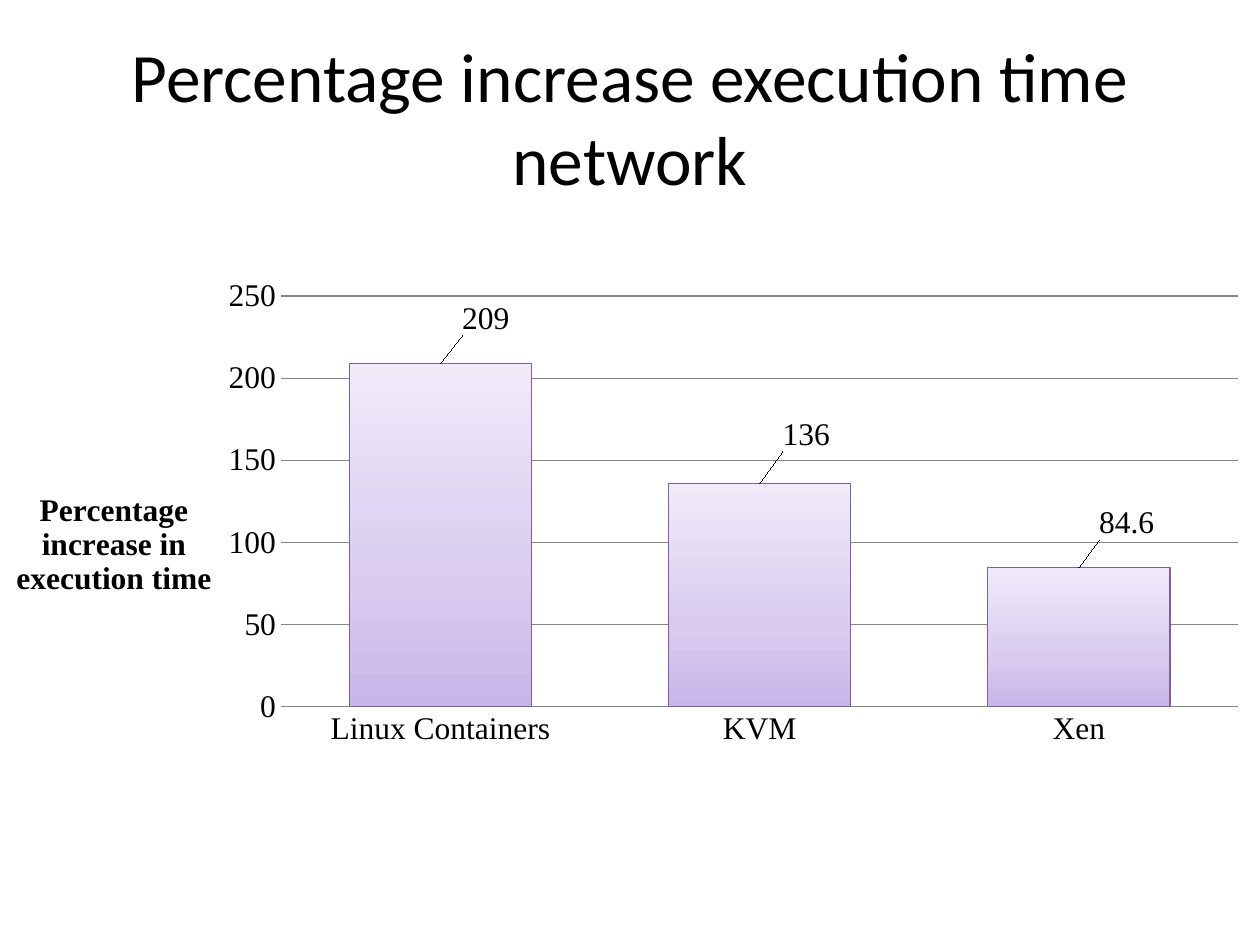
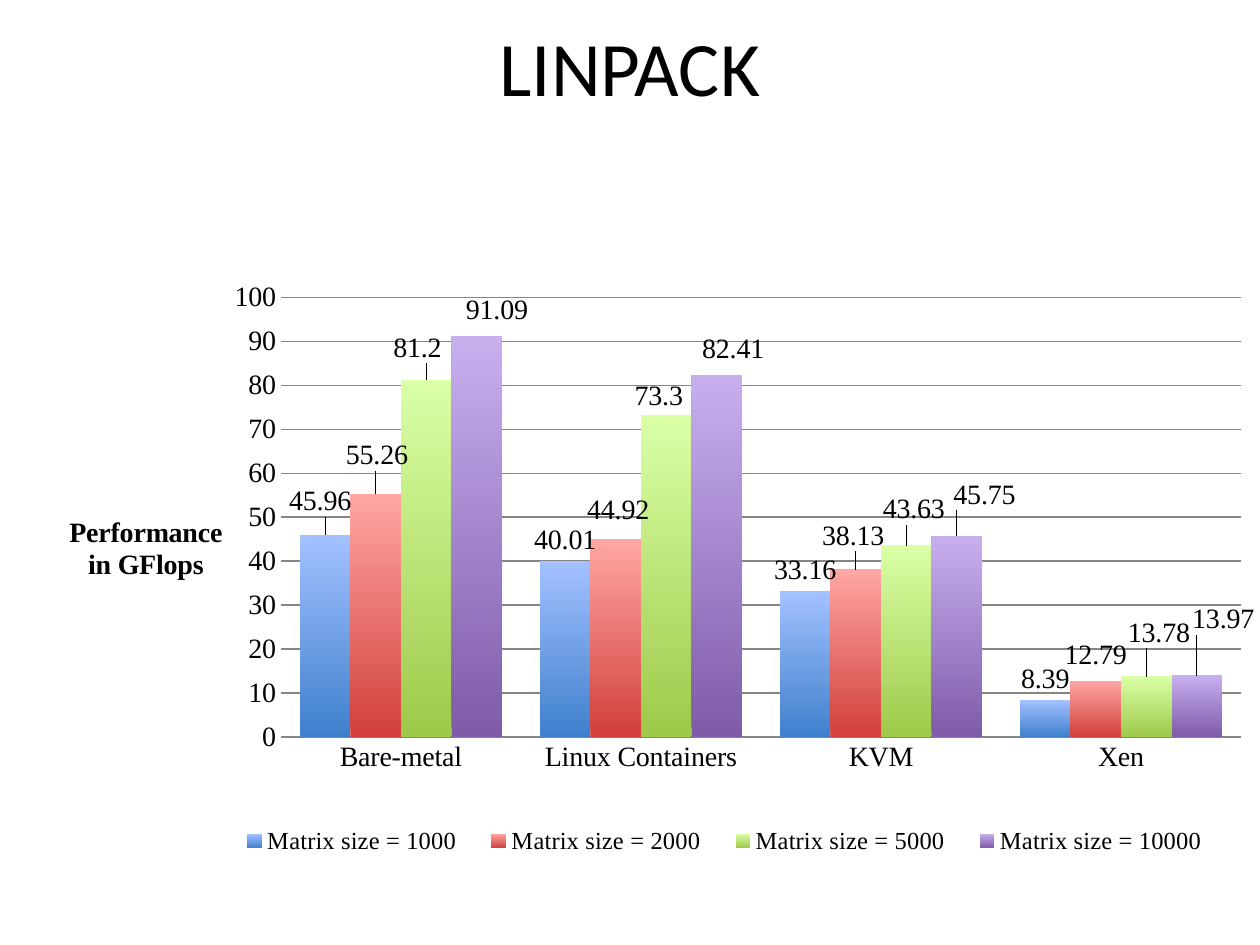
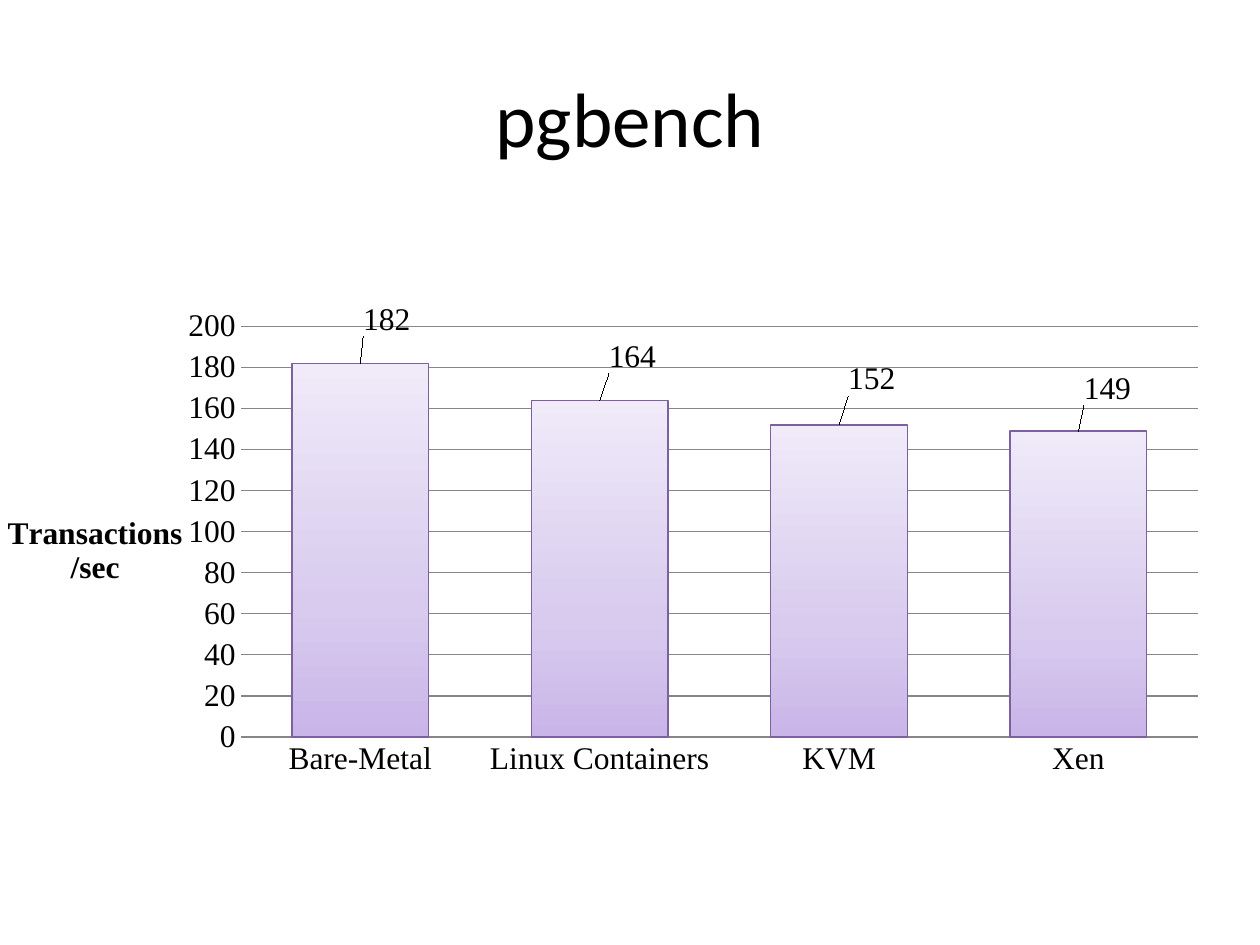
"""Build three slides of virtualization benchmark column charts."""
from dataclasses import dataclass

from lxml import etree
from pptx import Presentation
from pptx.chart.data import CategoryChartData
from pptx.dml.color import RGBColor
from pptx.enum.chart import XL_CHART_TYPE, XL_LABEL_POSITION, XL_LEGEND_POSITION, XL_TICK_MARK
from pptx.enum.text import MSO_ANCHOR, MSO_AUTO_SIZE, PP_ALIGN
from pptx.oxml.ns import qn
from pptx.util import Inches, Pt

COLUMNS = XL_CHART_TYPE.COLUMN_CLUSTERED
OUTSIDE = XL_LABEL_POSITION.OUTSIDE_END
BOTTOM = XL_LEGEND_POSITION.BOTTOM
NO_TICK = XL_TICK_MARK.NONE
MIDDLE = MSO_ANCHOR.MIDDLE
NO_FIT = MSO_AUTO_SIZE.NONE
CENTER = PP_ALIGN.CENTER
TITLE_ONLY = 5

Gradient = tuple[tuple[int, str], ...]


@dataclass(frozen=True)
class Theme:
    """Colours, fonts and type sizes of the deck."""
    title_font: str = "Calibri"
    chart_font: str = "Times New Roman"
    text: str = "000000"
    grid: str = "868686"
    outline: str = "7D60A0"
    title_size: float = 44
    long_title_size: float = 39.6
    chart_size: float = 18
    dense_chart_size: float = 16
    legend_size: float = 14
    lilac: Gradient = ((0, "C9B5E8"), (35, "D8CBEE"), (100, "F0EAF9"))
    blue: Gradient = ((0, "3F80CD"), (100, "A3C1FF"))
    red: Gradient = ((0, "D1403C"), (100, "FFA6A3"))
    green: Gradient = ((0, "9FC94A"), (100, "DAFFA6"))
    purple: Gradient = ((0, "7F5BAA"), (100, "C7AFEE"))


THEME = Theme()


@dataclass(frozen=True)
class Box:
    """A rectangle on the slide, in inches."""
    x: float
    y: float
    w: float
    h: float


@dataclass(frozen=True)
class Series:
    """Values, fill and label shifts in inches of one set of columns."""
    name: str
    values: tuple[float, ...]
    gradient: Gradient
    shifts: tuple[tuple[float, float], ...]
    outlined: bool = False


@dataclass(frozen=True)
class ChartSlide:
    """One slide with a title and a column chart."""
    title: str
    box: Box
    plot: Box
    axis_lines: tuple[str, ...]
    axis_at: tuple[float, float]
    top: float
    step: float
    categories: tuple[str, ...]
    series: tuple[Series, ...]
    title_y: float = 0.3
    title_size: float = THEME.title_size
    size: float = THEME.chart_size
    legend: Box | None = None


SLIDES = (
    ChartSlide(
        "Percentage increase execution time network",
        Box(-0.02, 1.55, 10.02, 5.51), Box(2.23, 2.35, 7.6, 3.26),
        ("Percentage", "increase in", "execution time"), (0.1, 3.87), 250, 50,
        ("Linux Containers", "KVM", "Xen"),
        (Series("Series 1", (209, 136, 84.6), THEME.lilac,
                ((0.36, -0.18), (0.37, -0.21), (0.38, -0.18)), True),),
        title_size=THEME.long_title_size),
    ChartSlide(
        "LINPACK",
        Box(0, 1.06, 10.05, 5.89), Box(2.23, 2.36, 7.62, 3.49),
        ("Performance", "in GFlops"), (0.52, 4.06), 100, 10,
        ("Bare-metal", "Linux Containers", "KVM", "Xen"),
        (Series("Matrix size = 1000", (45.96, 40.01, 33.16, 8.39), THEME.blue,
                ((-0.04, -0.1), (0, 0), (0, 0), (0, 0))),
         Series("Matrix size = 2000", (55.26, 44.92, 38.13, 12.79), THEME.red,
                ((0.01, -0.14), (0.02, -0.07), (-0.02, -0.1), (0, -0.04))),
         Series("Matrix size = 5000", (81.2, 73.3, 43.63, 13.78), THEME.green,
                ((-0.07, -0.09), (-0.06, 0.02), (0.06, -0.12), (0.1, -0.18))),
         Series("Matrix size = 10000", (91.09, 82.41, 45.75, 13.97), THEME.purple,
                ((0.16, -0.04), (0.13, -0.04), (0.22, -0.16), (0.21, -0.28)))),
        title_y=-0.1, size=THEME.dense_chart_size, legend=Box(1.75, 6.5, 8, 0.35)),
    ChartSlide(
        "pgbench",
        Box(-0.02, 1.79, 10.02, 5.51), Box(1.91, 2.59, 7.6, 3.26),
        ("Transactions", "/sec"), (0.03, 4.05), 200, 20,
        ("Bare-Metal", "Linux Containers", "KVM", "Xen"),
        (Series("Series 1", (182, 164, 152, 149), THEME.lilac,
                ((0.21, -0.17), (0.26, -0.17), (0.26, -0.19), (0.23, -0.16)), True),)),
)


def style_font(font, name: str, size: float, bold: bool = False) -> None:
    """Set face, size, weight and the text colour."""
    font.name = name
    font.size = Pt(size)
    font.bold = bold
    font.color.rgb = RGBColor.from_string(THEME.text)


def set_layout(parent, index: int, **values: object) -> None:
    """Put a manual layout in a chart element at the given child index."""
    for old in parent.findall(qn("c:layout")):
        parent.remove(old)
    layout = etree.Element(qn("c:layout"))
    manual = etree.SubElement(layout, qn("c:manualLayout"))
    for tag, value in values.items():
        etree.SubElement(manual, qn(f"c:{tag}")).set("val", str(value))
    parent.insert(index, layout)


def set_frame(parent, index: int, frame: Box, box: Box, **target: str) -> None:
    """Place a chart part by its frame on the slide."""
    set_layout(parent, index, **target, xMode="edge", yMode="edge",
               x=(frame.x - box.x) / box.w, y=(frame.y - box.y) / box.h,
               w=frame.w / box.w, h=frame.h / box.h)


def style_line(line, color: str) -> None:
    """Give a line the common thin width and a colour."""
    line.width = Pt(0.75)
    line.color.rgb = RGBColor.from_string(color)


def add_title(slide, s: ChartSlide) -> None:
    """Move, fill and format the title placeholder."""
    sp = slide.shapes.title
    sp.left, sp.top, sp.width, sp.height = (
        Inches(v) for v in (0.5, s.title_y, 9, 1.25))
    tf = sp.text_frame
    tf.word_wrap = True
    tf.auto_size = NO_FIT
    tf.vertical_anchor = MIDDLE
    p = tf.paragraphs[0]
    p.alignment = CENTER
    r = p.add_run()
    r.text = s.title
    style_font(r.font, THEME.title_font, s.title_size)


def style_axes(chart, s: ChartSlide) -> None:
    """Format both axes and write the upright value axis title."""
    cat, val = chart.category_axis, chart.value_axis
    for axis in (cat, val):
        axis.major_tick_mark = axis.minor_tick_mark = NO_TICK
        style_font(axis.tick_labels.font, THEME.chart_font, s.size)
    style_line(cat.format.line, THEME.grid)
    val.format.line.fill.background()
    val.has_major_gridlines = True
    style_line(val.major_gridlines.format.line, THEME.grid)
    val.minimum_scale, val.maximum_scale, val.major_unit = 0, s.top, s.step
    val.has_title = True
    tf = val.axis_title.text_frame
    for i, line in enumerate(s.axis_lines):
        p = tf.add_paragraph() if i else tf.paragraphs[0]
        p.alignment = CENTER
        r = p.add_run()
        r.text = line
        style_font(r.font, THEME.chart_font, s.size, True)
    title = chart.element.xpath(".//c:valAx/c:title")[0]
    body = title.xpath(".//a:bodyPr")[0]
    body.set("rot", "0")
    body.set("vert", "horz")
    x, y = s.axis_at
    set_layout(title, 1, xMode="edge", yMode="edge",
               x=(x - s.box.x) / s.box.w, y=(y - s.box.y) / s.box.h)


def style_series(ser, elm, data: Series, s: ChartSlide) -> None:
    """Fill the columns and place their value labels."""
    ser.invert_if_negative = False
    fill = ser.format.fill
    fill.gradient()
    fill.gradient_angle = 90
    stops = elm.xpath("c:spPr/a:gradFill/a:gsLst")[0]
    for old in list(stops):
        stops.remove(old)
    for position, color in data.gradient:
        gs = etree.SubElement(stops, qn("a:gs"), pos=str(position * 1000))
        etree.SubElement(gs, qn("a:srgbClr"), val=color)
    if data.outlined:
        style_line(ser.format.line, THEME.outline)
    labels = ser.data_labels
    labels.show_value = True
    labels.position = OUTSIDE
    style_font(labels.font, THEME.chart_font, s.size)
    for i, (dx, dy) in enumerate(data.shifts):
        if dx or dy:
            label = ser.points[i].data_label
            label.position = OUTSIDE
            style_font(label.font, THEME.chart_font, s.size)
            d_lbl = elm.xpath(f"c:dLbls/c:dLbl[c:idx/@val='{i}']")[0]
            set_layout(d_lbl, 1, x=dx / s.box.w, y=dy / s.box.h)


def add_chart(slide, s: ChartSlide) -> None:
    """Add the column chart of a slide."""
    data = CategoryChartData()
    data.categories = s.categories
    for item in s.series:
        data.add_series(item.name, item.values)
    box = s.box
    chart = slide.shapes.add_chart(
        COLUMNS, Inches(box.x), Inches(box.y), Inches(box.w), Inches(box.h), data).chart
    chart.has_title = False
    style_font(chart.font, THEME.chart_font, s.size)
    plot = chart.plots[0]
    plot.gap_width = 75
    plot.overlap = 0
    plot.vary_by_categories = False
    style_axes(chart, s)
    for ser, elm, item in zip(plot.series, chart.element.xpath(".//c:ser"), s.series):
        style_series(ser, elm, item, s)
    set_frame(chart.element.xpath(".//c:plotArea")[0], 0, s.plot, box, layoutTarget="inner")
    chart.has_legend = s.legend is not None
    if s.legend:
        legend = chart.legend
        legend.position = BOTTOM
        legend.include_in_layout = False
        style_font(legend.font, THEME.chart_font, THEME.legend_size)
        set_frame(chart.element.xpath(".//c:legend")[0], 1, s.legend, box)


def main() -> None:
    """Build and save the deck."""
    prs = Presentation()
    prs.slide_width, prs.slide_height = Inches(10), Inches(7.5)
    for s in SLIDES:
        slide = prs.slides.add_slide(prs.slide_layouts[TITLE_ONLY])
        add_title(slide, s)
        add_chart(slide, s)
    prs.save("out.pptx")


if __name__ == "__main__":
    main()
